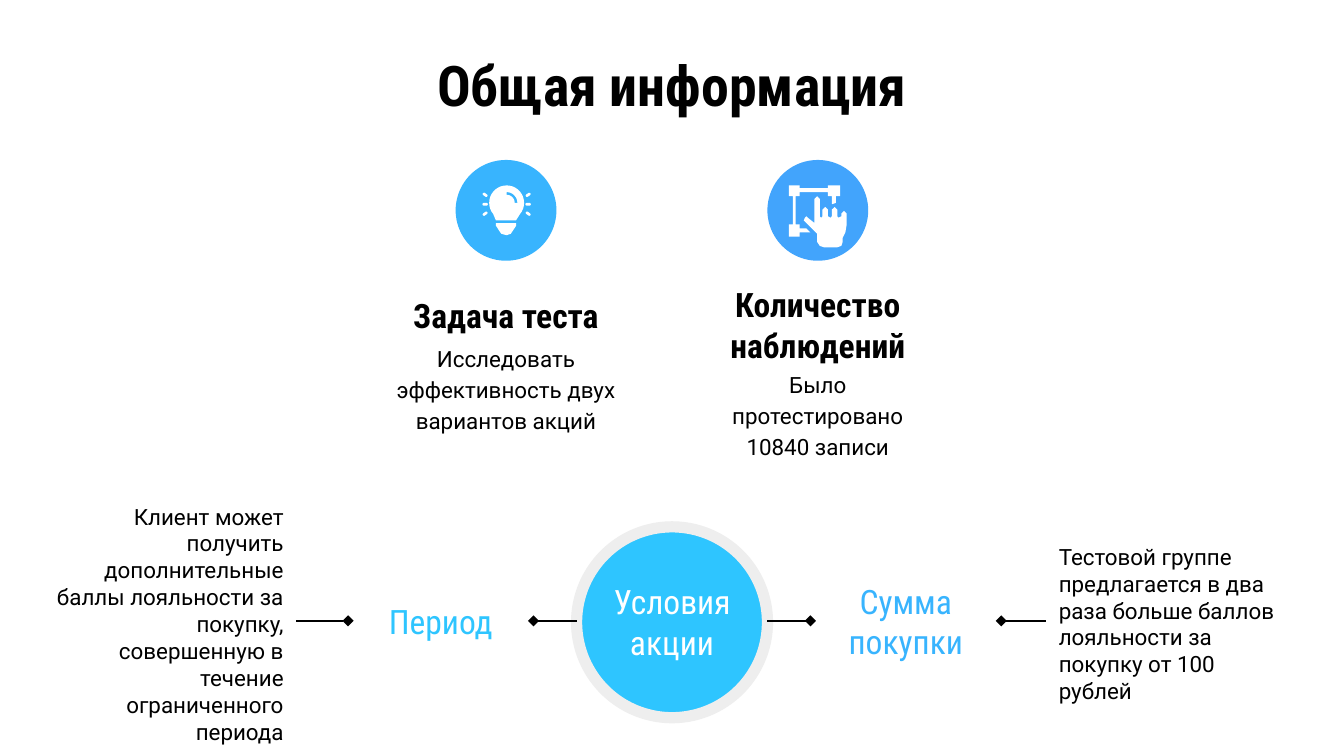
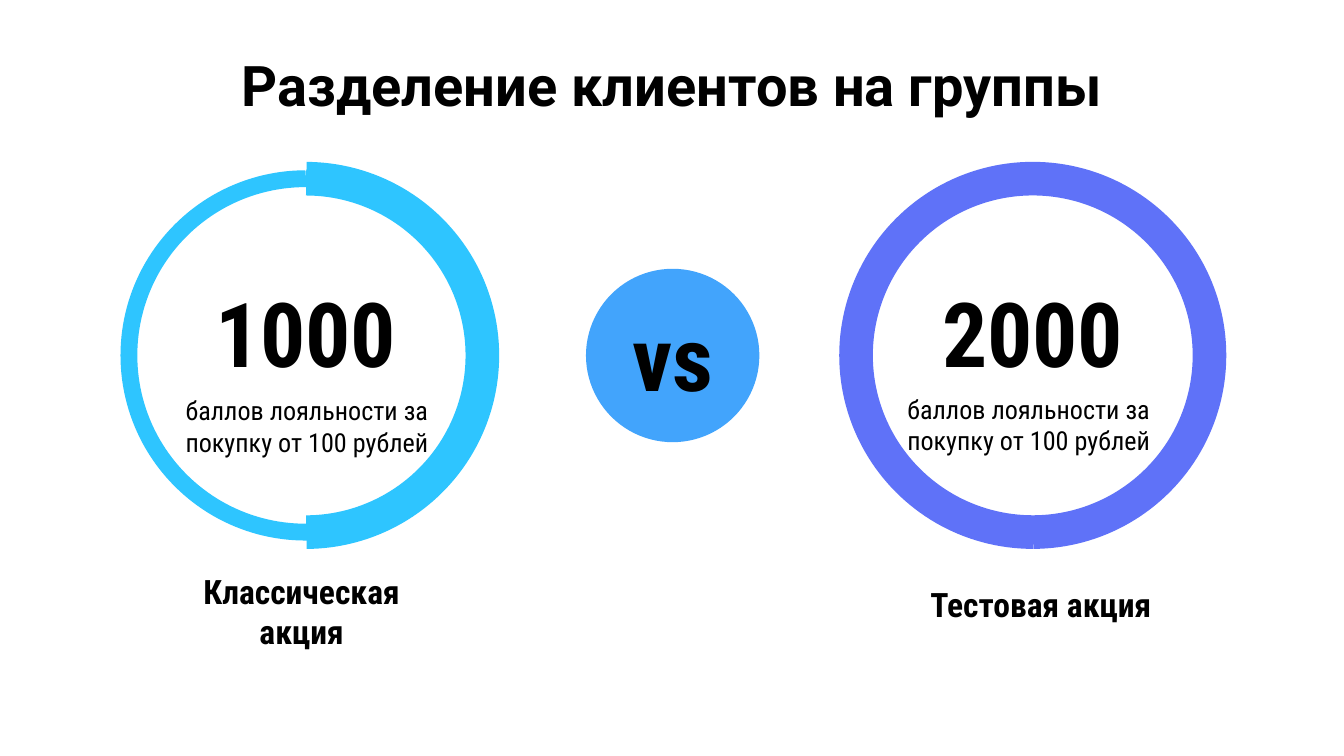
from math import cos, radians, sin

from lxml import etree
from pptx import Presentation
from pptx.dml.color import RGBColor
from pptx.enum.shapes import MSO_CONNECTOR, MSO_SHAPE
from pptx.enum.text import MSO_ANCHOR, PP_ALIGN
from pptx.oxml.ns import qn
from pptx.util import Inches, Pt

STRAIGHT = MSO_CONNECTOR.STRAIGHT
ELLIPSE, ARC, PILL = MSO_SHAPE.OVAL, MSO_SHAPE.ARC, MSO_SHAPE.ROUNDED_RECTANGLE
LEFT, CENTER, RIGHT = PP_ALIGN.LEFT, PP_ALIGN.CENTER, PP_ALIGN.RIGHT
MIDDLE = MSO_ANCHOR.MIDDLE

BLACK = RGBColor(0x00, 0x00, 0x00)
WHITE = RGBColor(0xFF, 0xFF, 0xFF)
GREY = RGBColor(0xEE, 0xEE, 0xEE)
CYAN = RGBColor(0x2E, 0xC5, 0xFF)
SKY = RGBColor(0x38, 0xB4, 0xFE)
BLUE = RGBColor(0x42, 0xA4, 0xFC)
VIOLET = RGBColor(0x5F, 0x72, 0xF8)

BODY, HEADING = "Roboto", "Roboto Condensed"

# Slide 1: left edge, heading, heading top, description, description top, badge colour
FACTS = [
    (2.68, "Задача теста", 2.19,
     "Исследовать эффективность двух вариантов акций", 2.57, SKY),
    (5.00, "Количество наблюдений", 2.26,
     "Было протестировано 10840 записи", 2.76, BLUE),
]
TERMS = "Условия акции"
PERIOD = "Период"
PERIOD_NOTE = ("Клиент может получить дополнительные баллы лояльности за покупку, "
               "совершенную в течение ограниченного периода")
AMOUNT = "Сумма покупки"
AMOUNT_NOTE = ("Тестовой группе предлагается в два раза больше баллов лояльности "
               "за покупку от 100 рублей")
TERMS_Y = 4.62

# Icon outlines, measured from the top left corner of the badge
BULB_BASE = [(0.30, 0.47), (0.30, 0.49), (0.32, 0.52), (0.34, 0.55), (0.38, 0.56),
             (0.41, 0.55), (0.43, 0.52), (0.45, 0.49), (0.45, 0.47)]
HAND = [(0.37, 0.27), (0.36, 0.28), (0.35, 0.29), (0.35, 0.47), (0.30, 0.43),
        (0.29, 0.42), (0.28, 0.43), (0.27, 0.45), (0.28, 0.46), (0.37, 0.55),
        (0.37, 0.61), (0.39, 0.64), (0.42, 0.65), (0.52, 0.65), (0.55, 0.64),
        (0.56, 0.61), (0.56, 0.58), (0.58, 0.54), (0.59, 0.48), (0.59, 0.40),
        (0.57, 0.38), (0.55, 0.40), (0.55, 0.42), (0.53, 0.43), (0.52, 0.42),
        (0.52, 0.37), (0.50, 0.35), (0.48, 0.37), (0.48, 0.42), (0.47, 0.43),
        (0.45, 0.42), (0.45, 0.37), (0.43, 0.35), (0.41, 0.37), (0.41, 0.42),
        (0.40, 0.43), (0.39, 0.42), (0.39, 0.29), (0.38, 0.28)]
FRAME = [(0.16, 0.19), (0.24, 0.19), (0.24, 0.21), (0.45, 0.21), (0.45, 0.19),
         (0.54, 0.19), (0.54, 0.27), (0.51, 0.27), (0.51, 0.32), (0.48, 0.33),
         (0.48, 0.27), (0.45, 0.27), (0.45, 0.24), (0.24, 0.24), (0.24, 0.27),
         (0.21, 0.27), (0.21, 0.48), (0.24, 0.48), (0.24, 0.51), (0.29, 0.51),
         (0.32, 0.54), (0.24, 0.54), (0.24, 0.57), (0.16, 0.57), (0.16, 0.48),
         (0.19, 0.48), (0.19, 0.27), (0.16, 0.27)]

# Slide 2: ring edge, colour, start of the thick arc, points, caption place, label, label place
RING_CAPTION = "баллов лояльности за покупку от 100 рублей"
RINGS = [
    (0.96, CYAN, 162.13, "1000", (1.28, 3.05), "Классическая акция", (1.21, 4.42)),
    (6.37, VIOLET, 53.88, "2000", (6.65, 3.04), "Тестовая акция", (6.71, 4.37)),
]
THIN_ARC = (162, 161.94)
THICK_END = 53.86


def add_text(slide, text, left, top, width, height, size, font=HEADING,
             bold=False, color=BLACK, align=CENTER, spacing=None):
    box = slide.shapes.add_textbox(*map(Inches, (left, top, width, height)))
    frame = box.text_frame
    frame.word_wrap = True
    frame.vertical_anchor = MIDDLE
    frame.margin_left = frame.margin_right = Inches(0.1)
    frame.margin_top = frame.margin_bottom = Inches(0.1)
    paragraph = frame.paragraphs[0]
    paragraph.alignment = align
    if spacing:
        paragraph.line_spacing = spacing
    run = paragraph.add_run()
    run.text = text
    run.font.name = font
    run.font.size = Pt(size)
    run.font.bold = bold
    run.font.color.rgb = color
    return box


def paint(shape, fill=None, line=None, weight=0):
    shape.shadow.inherit = False
    if fill is None:
        shape.fill.background()
    else:
        shape.fill.solid()
        shape.fill.fore_color.rgb = fill
    if line is None:
        shape.line.fill.background()
    else:
        shape.line.color.rgb = line
        shape.line.width = Pt(weight)


def add_shape(slide, kind, left, top, width, height, **style):
    shape = slide.shapes.add_shape(kind, *map(Inches, (left, top, width, height)))
    paint(shape, **style)
    return shape


def add_outline(slide, left, top, *contours):
    """Draw white closed contours; later ones cut holes in the first."""
    placed = [[(Inches(left + x), Inches(top + y)) for x, y in contour]
              for contour in contours]
    builder = slide.shapes.build_freeform(*placed[0][0], scale=1.0)
    builder.add_line_segments(placed[0][1:], close=True)
    for hole in placed[1:]:
        builder.move_to(*hole[0])
        builder.add_line_segments(hole[1:], close=True)
    paint(builder.convert_to_shape(), fill=WHITE)


def arc_points(radius, start, end, step=10):
    """Points on an arc around the centre of the bulb."""
    return [(0.38 + radius * cos(radians(a)), 0.32 + radius * sin(radians(a)))
            for a in range(start, end + 1, step)]


def draw_bulb(slide, left, top):
    glass = [(0.30, 0.45)] + arc_points(0.13, 140, 400) + [(0.45, 0.45)]
    glint = arc_points(0.08, -90, 0) + arc_points(0.06, -90, 0)[::-1]
    add_outline(slide, left, top, BULB_BASE)
    add_outline(slide, left, top, glass, glint)
    for side in (-1, 1):
        for row in (-1, 0, 1):
            ray = add_shape(slide, PILL, left + 0.36 + side * 0.16,
                            top + 0.32 + row * 0.07, 0.04, 0.02, fill=WHITE)
            ray.adjustments[0] = 0.5
            ray.rotation = side * row * 35


def draw_hand(slide, left, top):
    add_outline(slide, left, top, HAND)
    add_outline(slide, left, top, FRAME)


def add_link(slide, start, end, box, site):
    """Link along the terms row, with a diamond where it leaves the box."""
    link = slide.shapes.add_connector(
        STRAIGHT, Inches(start), Inches(TERMS_Y), Inches(end), Inches(TERMS_Y))
    link.begin_connect(box, site)
    link.line.color.rgb = BLACK
    link.line.width = Pt(0.75)
    etree.SubElement(link.line._get_or_add_ln(), qn("a:headEnd"), type="diamond")
    etree.SubElement(link._element.spPr, qn("a:effectLst"))


def new_slide(deck, title, font):
    slide = deck.slides.add_slide(deck.slide_layouts[6])
    add_text(slide, title, 0.5, 0.45, 9, 0.36, 30, font, bold=True)
    return slide


def build_overview(deck):
    slide = new_slide(deck, "Общая информация", HEADING)
    for fact, draw_icon in zip(FACTS, (draw_bulb, draw_hand)):
        left, heading, heading_top, detail, detail_top, color = fact
        add_text(slide, heading, left, heading_top, 2.17, 0.31, 18, bold=True)
        add_text(slide, detail, left + 0.16, detail_top, 1.85, 0.63, 12, BODY,
                 spacing=1.15)
        badge = (left + 0.71, 1.19)
        add_shape(slide, ELLIPSE, *badge, 0.75, 0.75, fill=color)
        draw_icon(slide, *badge)

    add_shape(slide, ELLIPSE, 4.29, 3.92, 1.42, 1.42, fill=CYAN, line=GREY, weight=6)
    add_text(slide, TERMS, 4.44, 4.41, 1.12, 0.43, 18, color=WHITE)
    period = add_text(slide, PERIOD, 2.59, 4.42, 1.38, 0.4, 18, color=CYAN)
    amount = add_text(slide, AMOUNT, 6.03, 4.44, 1.42, 0.36, 18, color=SKY)
    add_text(slide, PERIOD_NOTE, 0.25, 4.35, 1.96, 0.58, 12, BODY, align=RIGHT)
    add_text(slide, AMOUNT_NOTE, 7.78, 4.22, 1.9, 0.84, 12, BODY, align=LEFT)
    add_link(slide, 2.59, 2.2, period, 1)
    add_link(slide, 3.97, 4.29, period, 3)
    add_link(slide, 6.03, 5.71, amount, 1)
    add_link(slide, 7.45, 7.78, amount, 3)


def build_groups(deck):
    slide = new_slide(deck, "Разделение клиентов на группы", BODY)
    add_shape(slide, ELLIPSE, 4.36, 2, 1.29, 1.29, fill=BLUE)
    add_text(slide, "vs", 4.08, 2.25, 1.85, 0.8, 48, bold=True)
    for left, color, thick_start, points, caption_at, label, label_at in RINGS:
        for angles, weight in ((THIN_ARC, 9), ((thick_start, THICK_END), 18)):
            ring = add_shape(slide, ARC, left, 1.33, 2.63, 2.63,
                             line=color, weight=weight)
            ring.adjustments[0], ring.adjustments[1] = angles
        add_text(slide, points, left + 0.39, 2.14, 1.85, 0.65, 48, bold=True)
        add_text(slide, RING_CAPTION, *caption_at, 2.01, 0.24, 14)
        add_text(slide, label, *label_at, 2.07, 0.25, 18, bold=True)


def main():
    deck = Presentation()
    deck.slide_width = Inches(10)
    deck.slide_height = deck.slide_width * 9 // 16
    build_overview(deck)
    build_groups(deck)
    deck.save("out.pptx")


if __name__ == "__main__":
    main()
